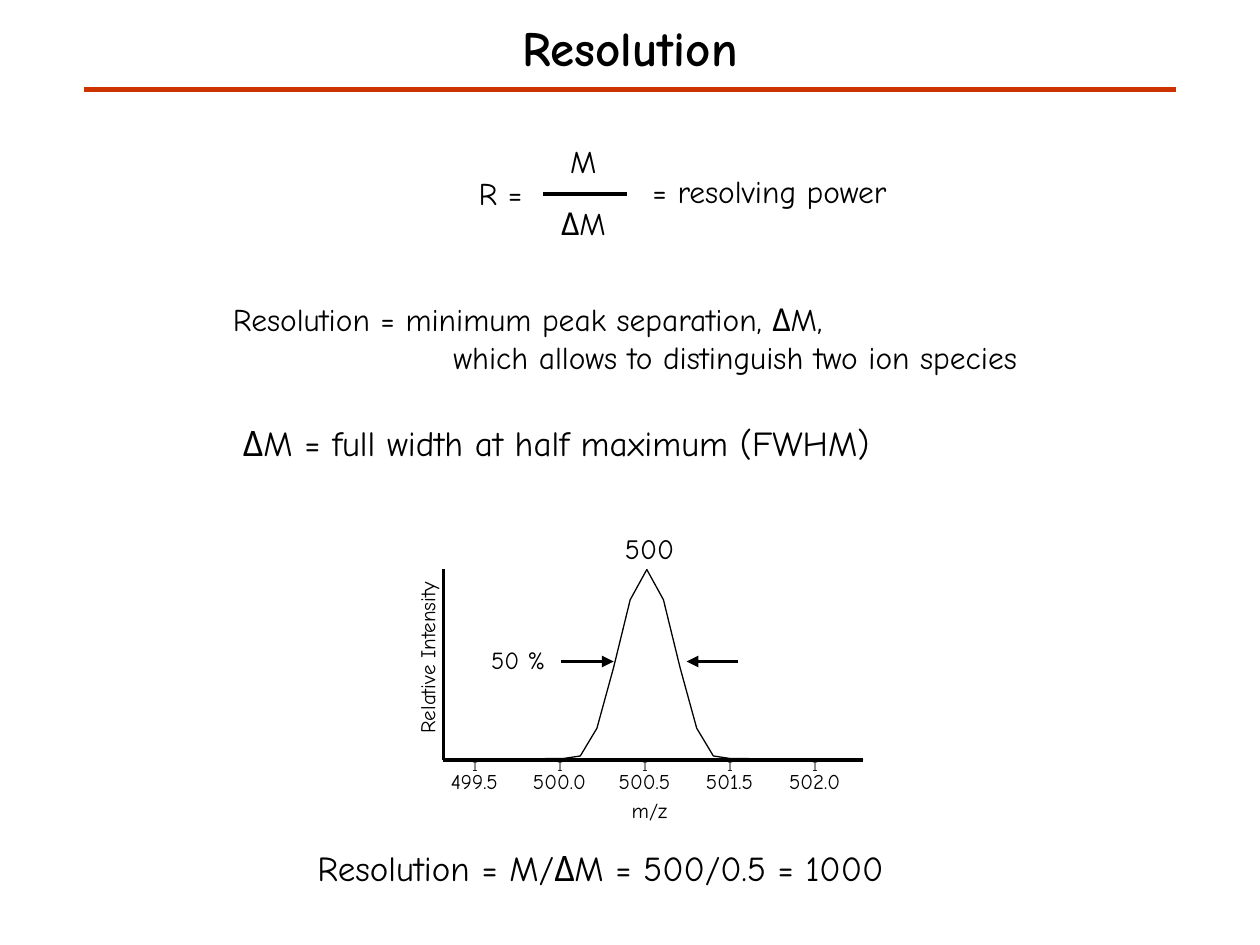
from dataclasses import dataclass

from lxml.etree import SubElement
from pptx import Presentation
from pptx.dml.color import RGBColor
from pptx.enum.shapes import MSO_CONNECTOR
from pptx.enum.text import MSO_ANCHOR, PP_ALIGN
from pptx.oxml.ns import qn
from pptx.util import Inches, Pt


@dataclass(frozen=True)
class Theme:
    font: str = "Comic Neue"
    ink: str = "000000"
    rule: str = "CC3300"
    title: int = 28
    large: int = 20
    body: int = 18
    peak: int = 16
    note: int = 14
    axis: int = 12
    tick: int = 8
    hair: float = 0
    bold: float = 2.25
    thick: float = 2.5


THEME = Theme()


def style(frame, text, size=THEME.body, align=PP_ALIGN.LEFT, bold=False, indent=0):
    """Write text, one paragraph a line; lines after the first are indented."""
    frame.word_wrap = True
    frame.text = text
    for num, para in enumerate(frame.paragraphs):
        para.alignment = align
        if num and indent:
            para._p.get_or_add_pPr().set("marL", str(Inches(indent)))
        font = para.runs[0].font
        font.name, font.size, font.bold = THEME.font, Pt(size), bold
        font.color.rgb = RGBColor.from_string(THEME.ink)


def label(slide, text, x, y, w, h, turn=0, **form):
    box = slide.shapes.add_textbox(Inches(x), Inches(y), Inches(w), Inches(h))
    box.rotation = turn
    style(box.text_frame, text, **form)


def stroke(slide, x1, y1, x2, y2, width=THEME.bold, color=THEME.ink, arrow=False):
    line = slide.shapes.add_connector(
        MSO_CONNECTOR.STRAIGHT, Inches(x1), Inches(y1), Inches(x2), Inches(y2))
    line.line.color.rgb = RGBColor.from_string(color)
    line.line.width = Pt(width)
    props = line._element.spPr
    if arrow:
        SubElement(props.find(qn("a:ln")), qn("a:tailEnd"), type="triangle")
    SubElement(props, qn("a:effectLst"))


def header(slide, x, y, w, h):
    title = slide.shapes.title
    title.left, title.top = Inches(x), Inches(y)
    title.width, title.height = Inches(w), Inches(h)
    style(title.text_frame, "Resolution", size=THEME.title,
          align=PP_ALIGN.CENTER, bold=True)
    title.text_frame.vertical_anchor = MSO_ANCHOR.MIDDLE
    stroke(slide, x + 0.67, y + 0.71, x + w - 0.67, y + 0.71,
           width=THEME.thick, color=THEME.rule)


def formula(slide, x, y, h=0.4):
    label(slide, "R =", x, y + 0.25, 1.08, h)
    for text, down in (("M", 0), ("ΔM", 0.49)):
        label(slide, text, x + 0.39, y + down, 1.08, h, align=PP_ALIGN.CENTER)
    stroke(slide, x + 0.61, y + 0.46, x + 1.28, y + 0.46)
    label(slide, "= resolving power", x + 1.38, y + 0.24, 2.25, h)


def curve(slide, x, base, w):
    """Draw the peak, with heights in inches above the base line."""
    rise = [0.01, 0.01, 0.03, 0.25, 0.73, 1.27, 1.51]
    flat = [0] * 6
    highs = flat + rise + rise[-2::-1] + flat + [0]
    start, step = x + 0.03, (w - 0.03) / (len(highs) - 1)
    pen = slide.shapes.build_freeform(Inches(x), Inches(base))
    pen.add_line_segments(
        [(Inches(start + num * step), Inches(base - high))
         for num, high in enumerate(highs)], close=False)
    peak = pen.convert_to_shape()
    peak.shadow.inherit = False
    peak.fill.background()
    peak.line.color.rgb = RGBColor.from_string(THEME.ink)
    peak.line.width = Pt(THEME.hair)


def spectrum(slide, x, y, w, h):
    base, mid = y + h, y + 0.73
    # Axes and peak
    stroke(slide, x, base, x + w, base, width=THEME.hair)
    stroke(slide, x, base, x, y, width=THEME.hair)
    curve(slide, x, base, w)
    # Ticks and their values
    for num, text in enumerate(("499.5", "500.0", "500.5", "501.5", "502.0")):
        left = x + 0.13 + num * 0.675
        label(slide, "I", left, base - 0.07, 0.33, 0.24, size=THEME.tick)
        label(slide, text, left - 0.26, base + 0.02, 0.75, 0.3,
              size=THEME.axis, align=PP_ALIGN.CENTER)
    # Axis names and peak value
    label(slide, "Relative Intensity", x - 1.09, y + 0.55, 1.92, 0.3,
          turn=270, size=THEME.axis, align=PP_ALIGN.CENTER)
    label(slide, "m/z", x + 1.26, base + 0.25, 0.75, 0.3,
          size=THEME.axis, align=PP_ALIGN.CENTER)
    label(slide, "500", x + 1.26, y - 0.35, 0.75, 0.37,
          size=THEME.peak, align=PP_ALIGN.CENTER)
    # Width at half maximum
    label(slide, "50 %", x + 0.28, mid - 0.18, 0.75, 0.34, size=THEME.note)
    for tail, tip in ((0.93, 1.35), (2.34, 1.93)):
        stroke(slide, x + tail, mid, x + tip, mid, arrow=True)


def main():
    deck = Presentation()
    deck.slide_width, deck.slide_height = Inches(10), Inches(7.5)
    slide = deck.slides.add_slide(deck.slide_layouts[5])
    header(slide, 0, 0, 10, 0.75)
    formula(slide, 3.7, 1.08)
    # Definitions
    label(slide, "Resolution = minimum peak separation, ΔM,\n"
          "which allows to distinguish two ion species",
          1.75, 2.33, 8.25, 0.71, indent=1.75)
    label(slide, "ΔM = full width at half maximum (FWHM)",
          1.83, 3.3, 5.42, 0.77, size=THEME.large)
    spectrum(slide, 3.52, 4.52, 3.33, 1.51)
    # Result
    label(slide, "Resolution = M/ΔM = 500/0.5 = 1000",
          2.42, 6.67, 5.75, 0.44, size=THEME.large)
    deck.save("out.pptx")


if __name__ == "__main__":
    main()
